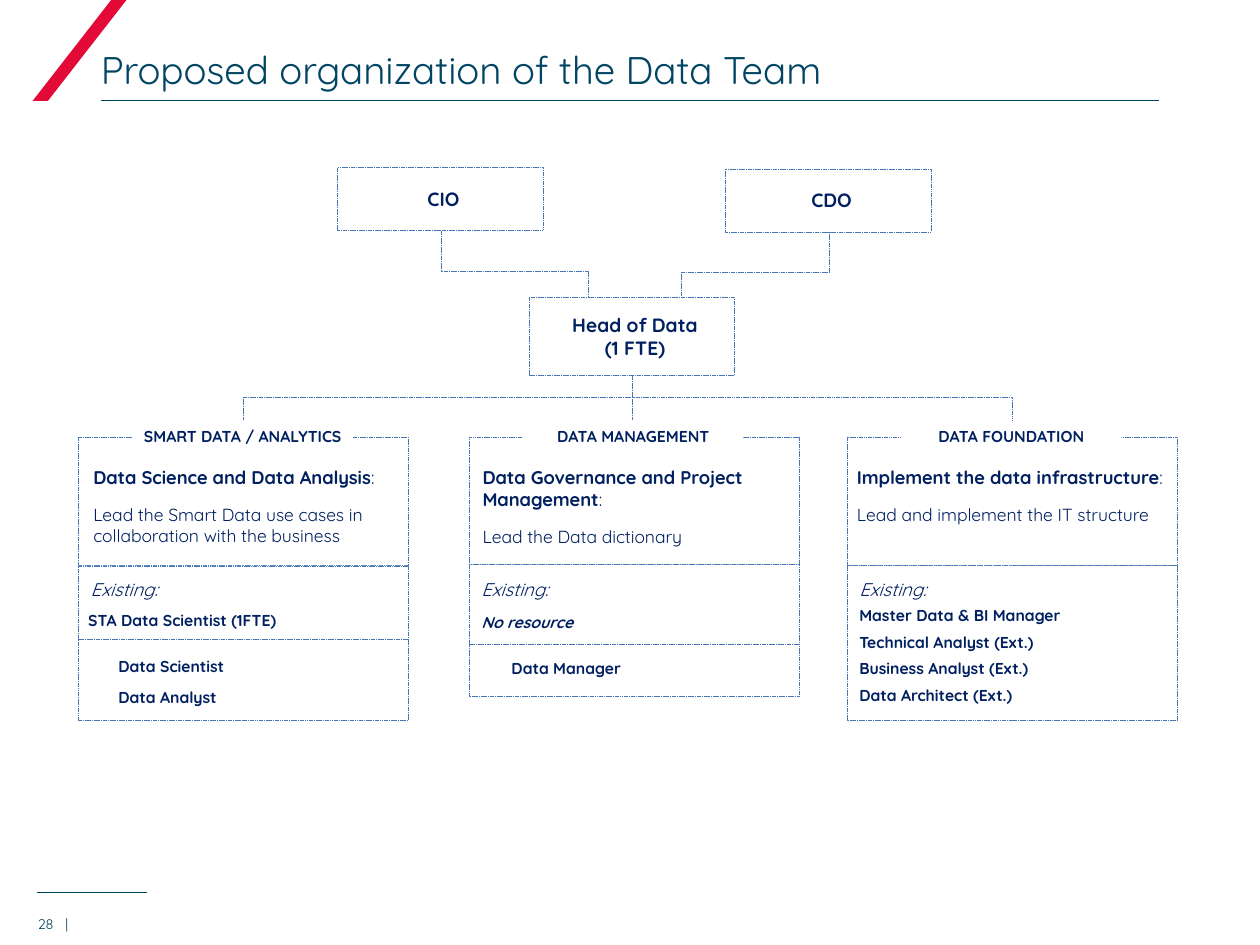
from pptx import Presentation
from pptx.dml.color import RGBColor
from pptx.enum.dml import MSO_LINE
from pptx.enum.shapes import MSO_CONNECTOR, MSO_SHAPE
from pptx.enum.text import MSO_ANCHOR, PP_ALIGN
from pptx.oxml.ns import qn
from pptx.util import Inches, Pt
from lxml import etree

NAVY = RGBColor(0x00, 0x20, 0x60)
TEAL = RGBColor(0x00, 0x45, 0x63)
BLUE = RGBColor(0x49, 0x77, 0xB6)
RED = RGBColor(0xE4, 0x0A, 0x38)
WHITE = RGBColor(0xFF, 0xFF, 0xFF)
FONT = "Quicksand"
DASHED = MSO_LINE.SQUARE_DOT
STRAIGHT, ELBOW = MSO_CONNECTOR.STRAIGHT, MSO_CONNECTOR.ELBOW
LEFT, CENTER = PP_ALIGN.LEFT, PP_ALIGN.CENTER
TOP, BOTTOM = MSO_ANCHOR.TOP, MSO_ANCHOR.BOTTOM

TITLE = "Proposed organization of the Data Team"
# Name, left, top, height of each leading role
LEADERS = [
    ("CIO", 2.68, 1.33, 0.50),
    ("CDO", 5.76, 1.34, 0.50),
    ("Head of Data\v(1 FTE)", 4.20, 2.36, 0.62),
]
# Start and end of the links from the leaders to the head of data
LEADER_LINKS = [((3.5, 1.83), (4.67, 2.47)), ((6.58, 1.84), (5.41, 2.48))]

# roles: text, offset from the column's left edge, top
COLUMNS = [
    {
        "left": 0.62, "heading": "SMART DATA / ANALYTICS",
        "mission": "Data Science and Data Analysis",
        "detail": "Lead the Smart Data use cases in collaboration with the business",
        "indent": 0.12, "edges": [3.47, 4.49, 5.07, 5.72],
        "roles": [("STA Data Scientist (1FTE)", 0.08, 4.80),
                  ("Data Scientist", 0.32, 5.16), ("Data Analyst", 0.32, 5.41)],
    },
    {
        "left": 3.72, "heading": "DATA MANAGEMENT",
        "mission": "Data Governance and Project Management",
        "detail": "Lead the Data dictionary",
        "indent": 0.11, "edges": [3.47, 4.48, 5.11, 5.53],
        "roles": [("No resource", 0.1, 4.81), ("Data Manager", 0.34, 5.18)],
    },
    {
        "left": 6.72, "heading": "DATA FOUNDATION",
        "mission": "Implement the data infrastructure",
        "detail": "Lead and implement the IT structure",
        "indent": 0.08, "edges": [3.47, 4.49, 5.72],
        "roles": [(name, 0.1, 4.76 + 0.21 * row) for row, name in enumerate([
            "Master Data & BI Manager", "Technical Analyst (Ext.)",
            "Business Analyst (Ext.)", "Data Architect (Ext.)"])],
    },
]
COLUMN_WIDTH = 2.62
LEADER_WIDTH = 1.63
HEAD_X, HEAD_BOTTOM, HEADING_TOP = 5.02, 2.98, 3.33

deck = Presentation()
deck.slide_width, deck.slide_height = Inches(10), Inches(7.5)
page = deck.slides.add_slide(deck.slide_layouts[6])


def add_line(kind, start, end, color, width, dash=None):
    line = page.shapes.add_connector(kind, *map(Inches, start + end))
    line.line.color.rgb = color
    line.line.width = Pt(width)
    if dash:
        line.line.dash_style = dash
    etree.SubElement(line._element.spPr, qn("a:effectLst"))
    return line


def add_vertical_elbow(start, end):
    """Elbow that leaves and arrives vertically: a horizontal one turned by 90 degrees."""
    (x1, y1), (x2, y2) = start, end
    mid_x, mid_y = (x1 + x2) / 2, (y1 + y2) / 2
    half_x, half_y = (x2 - x1) / 2, (y2 - y1) / 2
    elbow = add_line(ELBOW, (mid_x - half_y, mid_y + half_x),
                     (mid_x + half_y, mid_y - half_x), BLUE, 0.25, DASHED)
    elbow._element.spPr.find(qn("a:xfrm")).set("rot", "5400000")


def add_panel(left, top, width, height):
    panel = page.shapes.add_shape(
        MSO_SHAPE.RECTANGLE, *map(Inches, (left, top, width, height)))
    panel.shadow.inherit = False
    panel.fill.solid()
    panel.fill.fore_color.rgb = WHITE
    panel.line.color.rgb = BLUE
    panel.line.width = Pt(0.25)
    panel.line.dash_style = DASHED


def style(span, size, color=NAVY, bold=False, italic=False):
    span.font.name, span.font.size = FONT, Pt(size)
    span.font.color.rgb = color
    span.font.bold, span.font.italic = bold, italic


def add_text(text, place, size, align=LEFT, anchor=TOP, margin=0.05, **look):
    box = page.shapes.add_textbox(*map(Inches, place))
    frame = box.text_frame
    frame.word_wrap = True
    frame.vertical_anchor = anchor
    frame.margin_left = frame.margin_right = 0
    frame.margin_top = frame.margin_bottom = Inches(margin)
    para = frame.paragraphs[0]
    para.text = text
    para.alignment = align
    for span in para.runs:
        style(span, size, **look)
    return box


def add_column(column):
    left, edges = column["left"], column["edges"]
    for top, bottom in zip(edges, edges[1:]):
        add_panel(left, top, COLUMN_WIDTH, bottom - top)

    heading = add_text(column["heading"], (left + 0.43, HEADING_TOP, 1.75, 0.28), 9,
                       CENTER, margin=0.06, bold=True)
    heading.fill.solid()
    heading.fill.fore_color.rgb = WHITE

    body = add_text(column["mission"], (left + column["indent"], 3.65, 2.45, 0.78),
                    10.5, bold=True).text_frame
    mission = body.paragraphs[0]
    mission.space_after = Pt(9)
    colon = mission.add_run()
    colon.text = ":"
    style(colon, 10.5)
    detail = body.add_paragraph()
    detail.text = column["detail"]
    style(detail.runs[0], 10)

    add_text("Existing:", (left + 0.1, 4.54, 2.44, 0.31), 10.5, italic=True)
    for name, offset, top in column["roles"]:
        add_text(name, (left + offset, top, 2.2, 0.28), 9,
                 bold=True, italic=name == "No resource")


# Page frame
add_line(STRAIGHT, (0.29, 7.08), (1.17, 7.08), TEAL, 0.5)
slash = page.shapes.add_shape(
    MSO_SHAPE.PARALLELOGRAM, *map(Inches, (0.26, -0.02, 0.76, 0.82)))
slash.adjustments[0] = 0.84
slash.shadow.inherit = False
slash.fill.solid()
slash.fill.fore_color.rgb = RED
slash.line.fill.background()
add_line(STRAIGHT, (0.8, 0.8), (9.2, 0.8), TEAL, 0.5)
add_text(TITLE, (0.8, 0.36, 8.4, 0.37), 22, anchor=BOTTOM, margin=0, color=TEAL)
number = add_text("28\t|", (0.3, 7.17, 0.4, 0.23), 8, anchor=BOTTOM, margin=0, color=TEAL)
stops = etree.SubElement(
    number.text_frame.paragraphs[0]._p.get_or_add_pPr(), qn("a:tabLst"))
etree.SubElement(stops, qn("a:tab"), pos=str(Inches(0.22)), algn="l")

# Leaders, above the links that reach them
for start, end in LEADER_LINKS:
    add_vertical_elbow(start, end)
for name, left, top, height in LEADERS:
    add_panel(left, top, LEADER_WIDTH, height)
    add_text(name, (left + 0.18, top, 1.32, height), 11, CENTER,
             MSO_ANCHOR.MIDDLE, bold=True)

# Teams, below the links from the head of data
for column in COLUMNS:
    add_column(column)
    center = column["left"] + COLUMN_WIDTH / 2
    if abs(center - HEAD_X) < 0.1:
        add_line(STRAIGHT, (HEAD_X, HEAD_BOTTOM), (HEAD_X, HEADING_TOP),
                 BLUE, 0.25, DASHED)
    else:
        add_vertical_elbow((HEAD_X, HEAD_BOTTOM), (center, HEADING_TOP))

deck.save("out.pptx")
